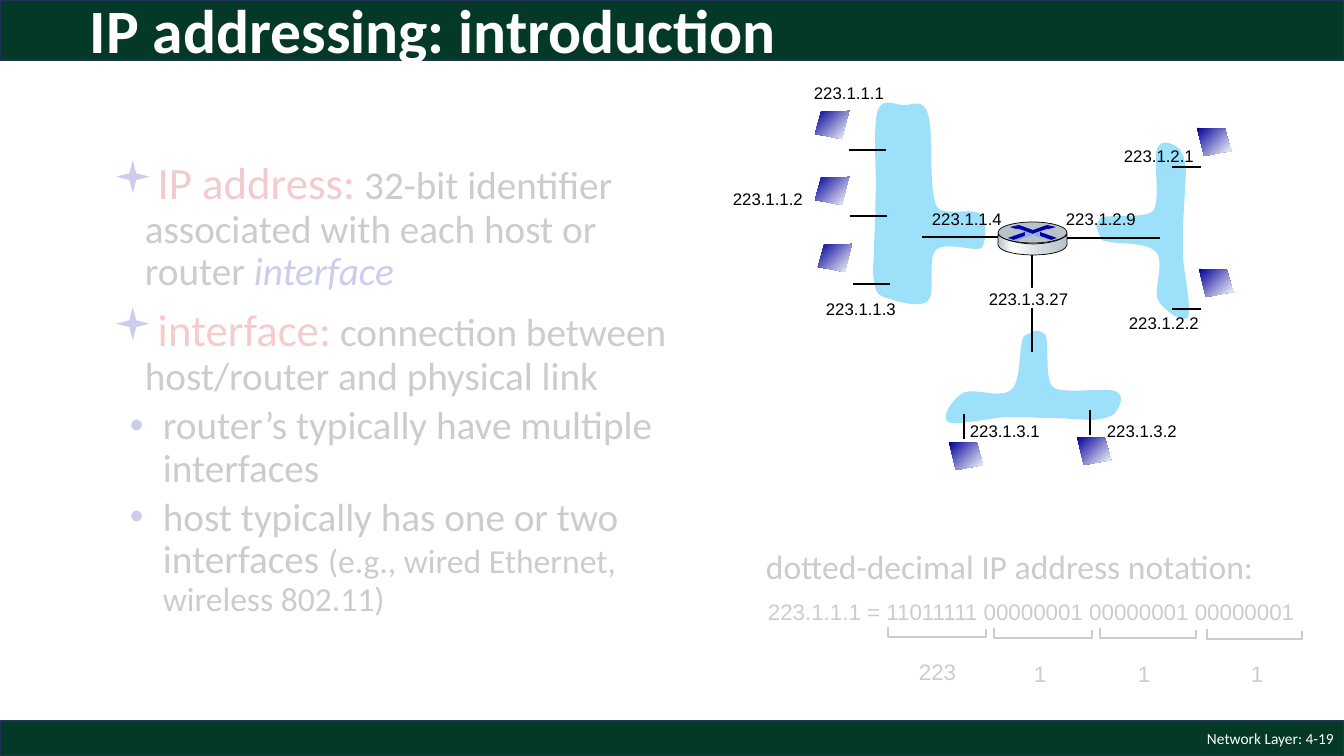
from copy import deepcopy
from dataclasses import dataclass

from lxml.etree import SubElement
from pptx import Presentation
from pptx.dml.color import RGBColor
from pptx.enum.shapes import MSO_CONNECTOR as Connector, MSO_SHAPE as Preset
from pptx.enum.text import MSO_ANCHOR as Anchor, MSO_AUTO_SIZE as AutoSize, PP_ALIGN as Align
from pptx.oxml.ns import qn
from pptx.util import Inches, Pt

PX = Inches(1) / 100.8


@dataclass(frozen=True)
class Theme:
    body_font: str = "Calibri"
    label_font: str = "Arial"
    square_font: str = "Wingdings"
    green: str = "043927"
    navy: str = "1E3256"
    white: str = "FFFFFF"
    black: str = "000000"
    address_red: str = "C00000"
    interface_red: str = "CC0000"
    blue: str = "0000A3"
    sub_bullet: str = "0000A8"
    cloud: str = "9CE0FA"
    router_top: str = "B8C2C9"
    arrow_edge: str = "8FAADC"
    screen: tuple = ((0, "000099"), (1, "FFFFFF"))
    router_side: tuple = ((0, "B8C2C9"), (0.21, "FFFFFF"), (0.6, "D6DCE0"), (1, "B8C2C9"))
    title: int = 44
    term: int = 32
    body: int = 28
    note: int = 24
    binary: int = 16
    label: int = 12
    footer: int = 11


theme = Theme()
presentation = Presentation()
presentation.slide_width = round(1344 * PX)
presentation.slide_height = round(756 * PX)
slide = presentation.slides.add_slide(presentation.slide_layouts[6])
shapes = slide.shapes


def write(text, box=None, *, paragraph=None, size=theme.body, color=theme.black,
          font=theme.body_font, bold=False, italic=False, align=Align.LEFT,
          anchor=Anchor.TOP, wrap=False, spacing=None):
    """Add a run to the paragraph given, or to a new text box."""
    if paragraph is None:
        frame = shapes.add_textbox(*(round(length * PX) for length in box)).text_frame
        frame.word_wrap = wrap
        frame.auto_size = AutoSize.NONE if wrap else AutoSize.SHAPE_TO_FIT_TEXT
        frame.vertical_anchor = anchor
        paragraph = frame.paragraphs[0]
        paragraph.alignment = align
        paragraph.line_spacing = spacing
    run = paragraph.add_run()
    run.text = text
    run.font.name = font
    run.font.size = Pt(size)
    run.font.bold = bold
    run.font.italic = italic
    run.font.color.rgb = RGBColor.from_string(color)


def draw(geometry, preset=None, fill=None, angle=0, opacity=None, line=None, width=1, closed=True):
    """Draw a preset in a box, or a path of points and six-number cubic curves."""
    if preset is not None:
        shape = shapes.add_shape(preset, *(round(length * PX) for length in geometry))
    else:
        ends = [(round(step[-2] * PX), round(step[-1] * PX)) for step in geometry]
        builder = shapes.build_freeform(*ends[0])
        builder.add_line_segments(ends[1:], close=closed)
        shape = builder.convert_to_shape()
        segments = shape._element.spPr.findall(".//" + qn("a:lnTo"))
        for segment, step in zip(segments, geometry[1:]):
            if len(step) == 6:
                segment.tag = qn("a:cubicBezTo")
                segment.clear()
                for x, y in zip(step[::2], step[1::2]):
                    SubElement(segment, qn("a:pt"), x=str(round(x * PX) - shape.left),
                               y=str(round(y * PX) - shape.top))
    shape.shadow.inherit = False
    if fill is None:
        shape.fill.background()
    elif isinstance(fill, str):
        shape.fill.solid()
        shape.fill.fore_color.rgb = RGBColor.from_string(fill)
        if opacity is not None:
            color = shape._element.spPr.find(".//" + qn("a:srgbClr"))
            SubElement(color, qn("a:alpha"), val=str(opacity * 1000))
    else:
        shape.fill.gradient()
        shape.fill.gradient_angle = angle
        stop_list = shape._element.spPr.find(".//" + qn("a:gsLst"))
        while len(stop_list) < len(fill):
            stop_list.append(deepcopy(stop_list[0]))
        for stop, (position, color) in zip(shape.fill.gradient_stops, fill):
            stop.position = position
            stop.color.rgb = RGBColor.from_string(color)
    if line is None:
        shape.line.fill.background()
    else:
        shape.line.color.rgb = RGBColor.from_string(line)
        shape.line.width = Pt(width)


for top, height in ((721, 35), (0, 60)):
    draw((0, top, 1344, height), Preset.RECTANGLE, fill=theme.green, line=theme.navy)

# Definitions on the left
term_level = (0, 39, 32, 10, "▪", theme.square_font, theme.blue)
detail_level = (1, 57, 33, 5, "•", theme.label_font, theme.sub_bullet)
definitions = (
    (term_level, (("IP address:", dict(size=theme.term, color=theme.address_red)), (" ", {}),
                  ("32-bit identifier associated with each host or router ", {}),
                  ("interface", dict(color=theme.blue, italic=True)))),
    (term_level, (("interface:", dict(size=theme.term, color=theme.interface_red)),
                  (" connection between host/router and physical link", {}))),
    (detail_level, (("router’s typically have multiple interfaces", {}),)),
    (detail_level, (("host typically has one or two interfaces ", {}),
                    ("(e.g., wired Ethernet, wireless 802.11)", dict(size=theme.note)))),
)
body = shapes.add_textbox(*(round(length * PX) for length in (96, 156, 613, 534))).text_frame
body.word_wrap = True
for index, (style, runs) in enumerate(definitions):
    level, margin, hanging, before, bullet, bullet_font, color = style
    paragraph = body.add_paragraph() if index else body.paragraphs[0]
    paragraph.level = level
    paragraph.line_spacing = 0.9
    paragraph.space_before = Pt(before if index else 0)
    properties = paragraph._p.get_or_add_pPr()
    properties.set("marL", str(round(margin * PX)))
    properties.set("indent", str(round(-hanging * PX)))
    SubElement(SubElement(properties, qn("a:buClr")), qn("a:srgbClr"), val=color)
    SubElement(properties, qn("a:buFont"), typeface=bullet_font)
    SubElement(properties, qn("a:buChar"), char=bullet)
    for text, run_format in runs:
        write(text, paragraph=paragraph, **run_format)

write("Network Layer: 4-19", (1042, 721, 302, 35), size=theme.footer, color=theme.white,
      align=Align.RIGHT, anchor=Anchor.MIDDLE, wrap=True)

# Three subnets: south, east, west
subnets = (
    ((1024, 336), (1018, 346, 1022, 379, 1012, 389), (1002, 400, 974, 387, 963, 393),
     (953, 398, 940, 418, 948, 422), (955, 426, 991, 418, 1006, 417),
     (1021, 417, 1029, 417, 1040, 418), (1051, 418, 1061, 418, 1072, 419),
     (1081, 419, 1093, 421, 1100, 419), (1108, 418, 1115, 415, 1117, 410),
     (1120, 406, 1125, 395, 1115, 391), (1104, 387, 1062, 395, 1053, 387),
     (1044, 380, 1050, 341, 1045, 334), (1037, 330, 1040, 328, 1024, 336)),
    ((1102, 240), (1111, 245, 1145, 241, 1155, 251), (1166, 261, 1153, 289, 1158, 300),
     (1164, 311, 1184, 324, 1188, 317), (1192, 309, 1184, 273, 1183, 257),
     (1183, 242, 1183, 234, 1183, 224), (1184, 213, 1184, 203, 1185, 193),
     (1185, 182, 1187, 171, 1185, 163), (1184, 156, 1181, 149, 1176, 146),
     (1172, 144, 1161, 138, 1157, 149), (1153, 159, 1161, 202, 1153, 211),
     (1146, 219, 1107, 214, 1100, 218), (1096, 227, 1094, 224, 1102, 240)),
    ((984, 221), (983, 202, 947, 219, 937, 207), (928, 190, 934, 131, 928, 114),
     (923, 97, 911, 106, 903, 105), (895, 105, 883, 97, 878, 110),
     (873, 124, 876, 168, 876, 186), (875, 205, 876, 210, 875, 221),
     (875, 231, 874, 242, 874, 251), (874, 261, 872, 272, 874, 280),
     (875, 287, 875, 294, 884, 297), (893, 300, 919, 309, 928, 301),
     (936, 293, 927, 259, 936, 250), (946, 241, 974, 252, 982, 248),
     (985, 239, 987, 240, 984, 221)),
)
for subnet in subnets:
    draw(subnet, fill=theme.cloud)

links = ((1032, 255, 1032, 352), (849, 150, 886, 150), (850, 216, 887, 216),
         (853, 284, 890, 284), (922, 237, 1010, 237), (1052, 238, 1160, 238),
         (1172, 167, 1201, 167), (1172, 309, 1201, 309), (964, 414, 964, 439),
         (1090, 410, 1090, 435))
for ends in links:
    link = shapes.add_connector(Connector.STRAIGHT, *(round(length * PX) for length in ends))
    link.line.color.rgb = RGBColor.from_string(theme.black)
    link.line.width = Pt(1.5)
    SubElement(link._element.spPr, qn("a:effectLst"))

for label_backing in ((733, 193, 92, 20), (986, 288, 94, 20)):
    draw(label_backing, Preset.RECTANGLE, fill=theme.white)
addresses = (("223.1.1.1", 804, 78), ("223.1.1.2", 723, 184), ("223.1.1.3", 816, 294),
             ("223.1.1.4", 922, 204), ("223.1.2.9", 1056, 204), ("223.1.2.2", 1119, 308),
             ("223.1.2.1", 1114, 141), ("223.1.3.2", 1097, 416), ("223.1.3.1", 960, 416),
             ("223.1.3.27", 979, 284))
for address, left, top in addresses:
    width = 101 if address == "223.1.3.27" else 91
    write(address, (left, top, width, 30), size=theme.label, font=theme.label_font)

# Host screens; those facing left are mirrored
screen_corners = ((34, 0), (6, 1), (0, 23), (27, 28))
hosts = ((815, 111, False), (815, 177, False), (818, 244, False), (1197, 128, True),
         (1199, 269, True), (1077, 437, True), (949, 442, True))
for left, top, mirrored in hosts:
    draw([(left + (34 - x if mirrored else x), top + y) for x, y in screen_corners],
         fill=theme.screen, angle=315)

# Router
draw(((1067, 234), (1067, 245), (1065, 253, 1045, 255, 1033, 255),
      (1022, 255, 1000, 253, 998, 245), (998, 234), (1001, 240, 1021, 244, 1033, 244),
      (1044, 244, 1064, 241, 1067, 234)), fill=theme.router_side, line=theme.black, width=0.5)
draw((998, 222, 69, 21), Preset.OVAL, fill=theme.router_top, line=theme.black, width=0.5)
router_arrows = (
    ((1047, 225), (1056, 227), (1049, 229), (1047, 229), (1032, 234), (1019, 229),
     (1016, 229), (1010, 227), (1019, 225), (1033, 230)),
    ((1040, 232), (1057, 238), (1051, 240), (1040, 236)),
    ((1025, 232), (1025, 236), (1014, 240), (1008, 238)),
)
for arrow in router_arrows:
    draw(arrow, fill=theme.blue)
draw(((1016, 229), (1019, 229), (1033, 234), (1047, 229), (1050, 229), (1040, 232), (1040, 236),
      (1051, 240), (1048, 240), (1033, 235), (1017, 241), (1014, 240), (1025, 236), (1025, 232)),
     fill=theme.arrow_edge)

# Dotted-decimal notation
write("dotted-decimal IP address notation:", (756, 541, 513, 50), size=theme.note)
write("223.1.1.1 = 11011111 00000001 00000001 00000001", (758, 593, 556, 42),
      size=theme.binary, font=theme.label_font)
octets = (("223", 888, 986, 627, (909, 653, 58, 42)), ("1", 994, 1092, 628, (1024, 655, 32, 42)),
          ("1", 1100, 1196, 628, (1128, 655, 32, 42)), ("1", 1207, 1302, 629, (1241, 655, 32, 42)))
for value, left, right, top, box in octets:
    draw(((left, top), (left, top + 10), (right, top + 10), (right, top + 2)),
         line=theme.black, width=1.5, closed=False)
    write(value, box, size=theme.binary, font=theme.label_font)

for veil in ((65, 139, 648, 573), (669, 525, 648, 186)):
    draw(veil, Preset.RECTANGLE, fill=theme.white, opacity=80)

write("IP addressing: introduction", (80, -16, 1159, 99), size=theme.title, color=theme.white,
      bold=True, anchor=Anchor.MIDDLE, wrap=True, spacing=0.9)

presentation.save("out.pptx")
